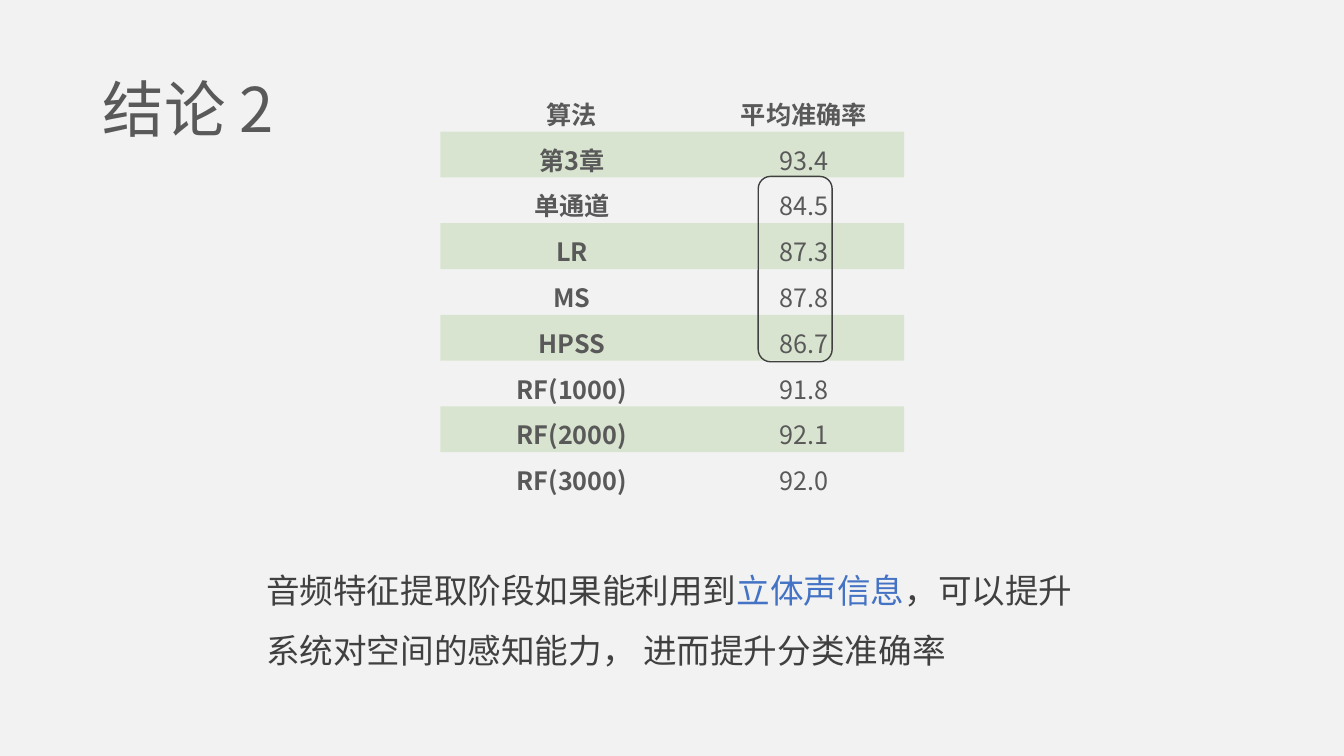
"""Build the second conclusion slide: accuracy by algorithm and a takeaway."""
from lxml import etree
from pptx import Presentation
from pptx.dml.color import RGBColor
from pptx.enum import shapes, text
from pptx.oxml import ns
from pptx.util import Pt

COLOURS = {
    "background": "F2F2F2",
    "grey": "595959",
    "dark": "404040",
    "blue": "4472C4",
    "green": "70AD47",
}
FONT = "Noto Sans CJK SC"
NO_GRID_STYLE = "{2D5ABB26-0587-4C30-8999-92F81FD0307C}"
ACCURACY = [
    ("算法", "平均准确率"),
    ("第3章", "93.4"),
    ("单通道", "84.5"),
    ("LR", "87.3"),
    ("MS", "87.8"),
    ("HPSS", "86.7"),
    ("RF(1000)", "91.8"),
    ("RF(2000)", "92.1"),
    ("RF(3000)", "92.0"),
]
TAKEAWAY = [
    ("音频特征提取阶段如果能利用到", "dark"),
    ("立体声信息", "blue"),
    ("，可以提升系统对空间的感知能力， 进而提升分类准确率", "dark"),
]


def format_run(run, size, colour, bold=False):
    run.font.size = Pt(size)
    run.font.bold = bold
    run.font.color.rgb = RGBColor.from_string(COLOURS[colour])
    run.font.name = FONT
    east_asian = etree.SubElement(run.font._element, ns.qn("a:ea"))
    east_asian.set("typeface", FONT)


presentation = Presentation()
presentation.slide_width = Pt(960)
presentation.slide_height = Pt(540)
slide = presentation.slides.add_slide(presentation.slide_layouts[5])
slide.background.fill.solid()
slide.background.fill.fore_color.rgb = RGBColor.from_string(COLOURS["background"])

title = slide.shapes.title
title.left, title.top, title.width, title.height = Pt(66), Pt(28.5), Pt(164.5), Pt(104.5)
title.text_frame.text = "结论 2"
title.text_frame.auto_size = text.MSO_AUTO_SIZE.NONE
title.text_frame.vertical_anchor = text.MSO_ANCHOR.MIDDLE
paragraph = title.text_frame.paragraphs[0]
paragraph.alignment = text.PP_ALIGN.LEFT
paragraph.line_spacing = 0.9
format_run(paragraph.runs[0], 44, "grey")

takeaway = slide.shapes.add_textbox(Pt(183), Pt(389), Pt(595), Pt(90))
takeaway.text_frame.word_wrap = True
takeaway.text_frame.auto_size = text.MSO_AUTO_SIZE.SHAPE_TO_FIT_TEXT
paragraph = takeaway.text_frame.paragraphs[0]
paragraph.line_spacing = 1.5
for wording, colour in TAKEAWAY:
    run = paragraph.add_run()
    run.text = wording
    format_run(run, 24, colour)

row_height = 32.72
frame = slide.shapes.add_table(
    len(ACCURACY), 2, Pt(314.5), Pt(61.3), Pt(331.4), Pt(row_height * len(ACCURACY))
)
table = frame.table
table.first_row = False
table.horz_banding = False
table._tbl.tblPr.find(ns.qn("a:tableStyleId")).text = NO_GRID_STYLE
table.columns[0].width = Pt(178)
table.columns[1].width = Pt(153.4)
for row, values in enumerate(ACCURACY):
    table.rows[row].height = Pt(row_height)
    for column, value in enumerate(values):
        cell = table.cell(row, column)
        cell.margin_left = cell.margin_right = Pt(5)
        cell.margin_top = cell.margin_bottom = Pt(0)
        cell.vertical_anchor = text.MSO_ANCHOR.MIDDLE
        if row % 2:
            cell.fill.solid()
            cell.fill.fore_color.rgb = RGBColor.from_string(COLOURS["green"])
            colour_element = cell._tc.tcPr.find(".//" + ns.qn("a:srgbClr"))
            etree.SubElement(colour_element, ns.qn("a:alpha")).set("val", "20000")
        else:
            cell.fill.background()
        cell.text_frame.text = value
        paragraph = cell.text_frame.paragraphs[0]
        paragraph.alignment = text.PP_ALIGN.CENTER
        paragraph.line_spacing = 1.25
        paragraph._p.get_or_add_pPr().set("indent", str(Pt(10)))
        format_run(paragraph.runs[0], 18, "grey", bold=row == 0 or column == 0)

highlight = slide.shapes.add_shape(
    shapes.MSO_SHAPE.ROUNDED_RECTANGLE, Pt(541.6), Pt(126), Pt(52.8), Pt(132.4)
)
highlight.shadow.inherit = False
highlight.fill.background()
highlight.line.color.rgb = RGBColor.from_string(COLOURS["dark"])
highlight.line.width = Pt(1)

presentation.save("out.pptx")
